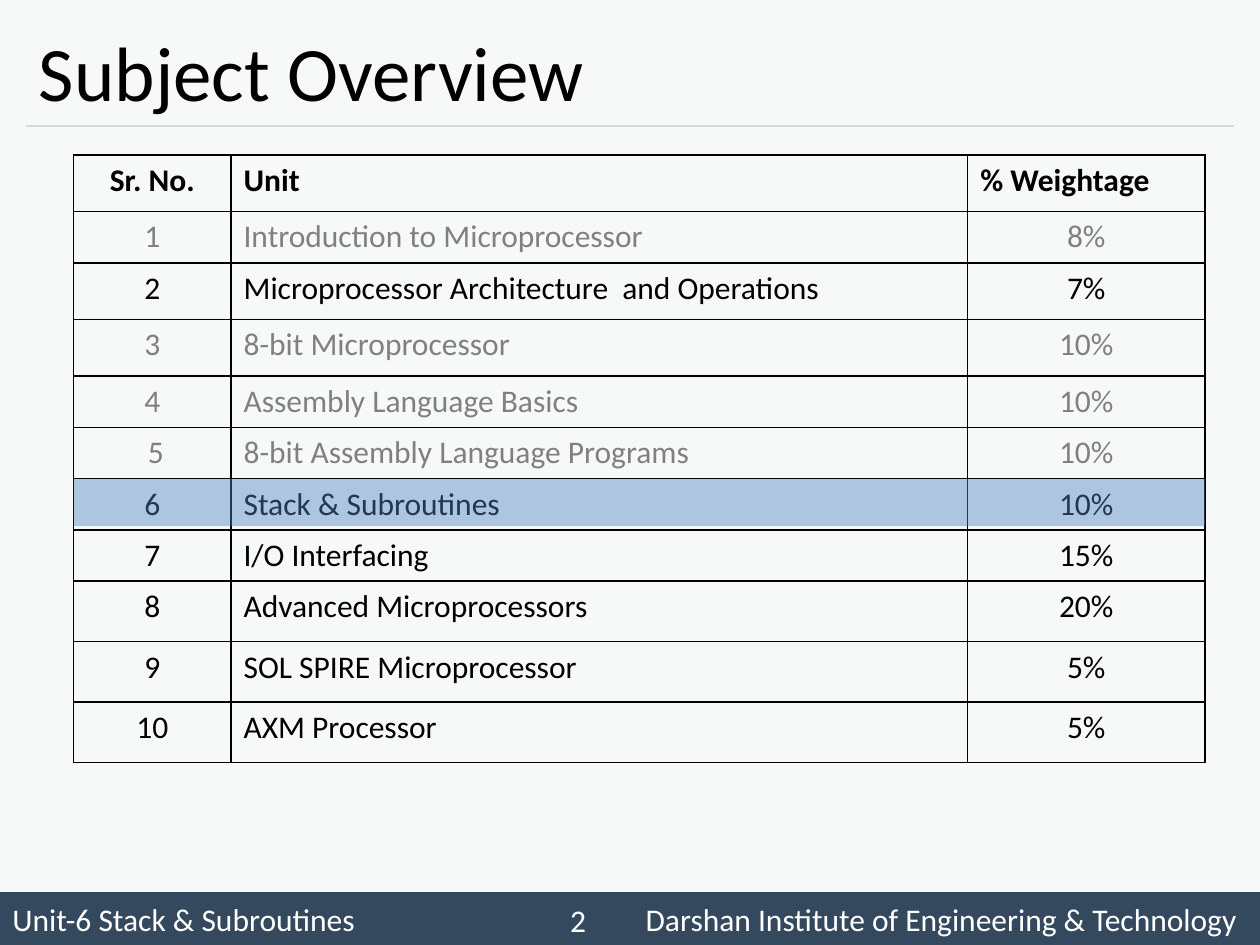
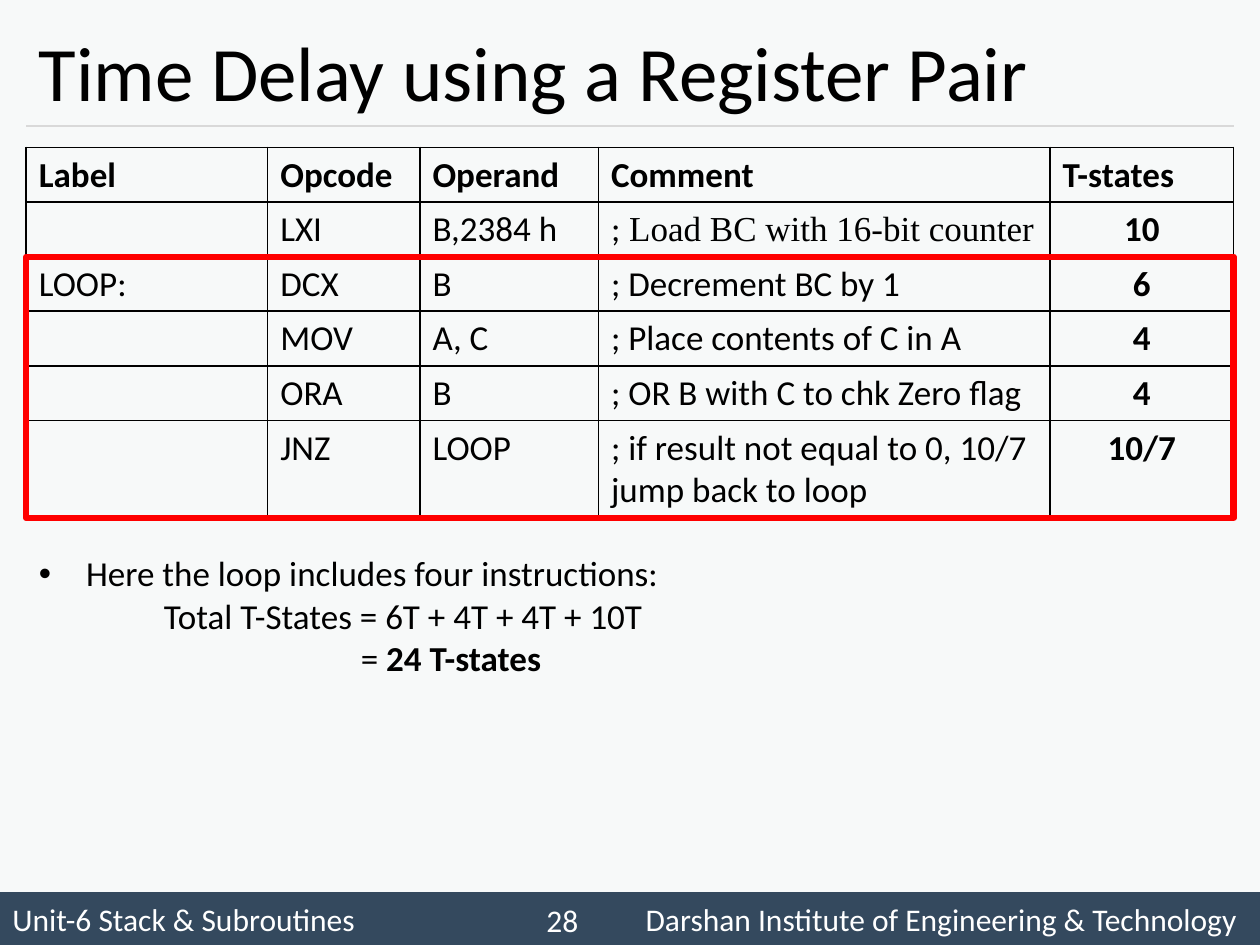
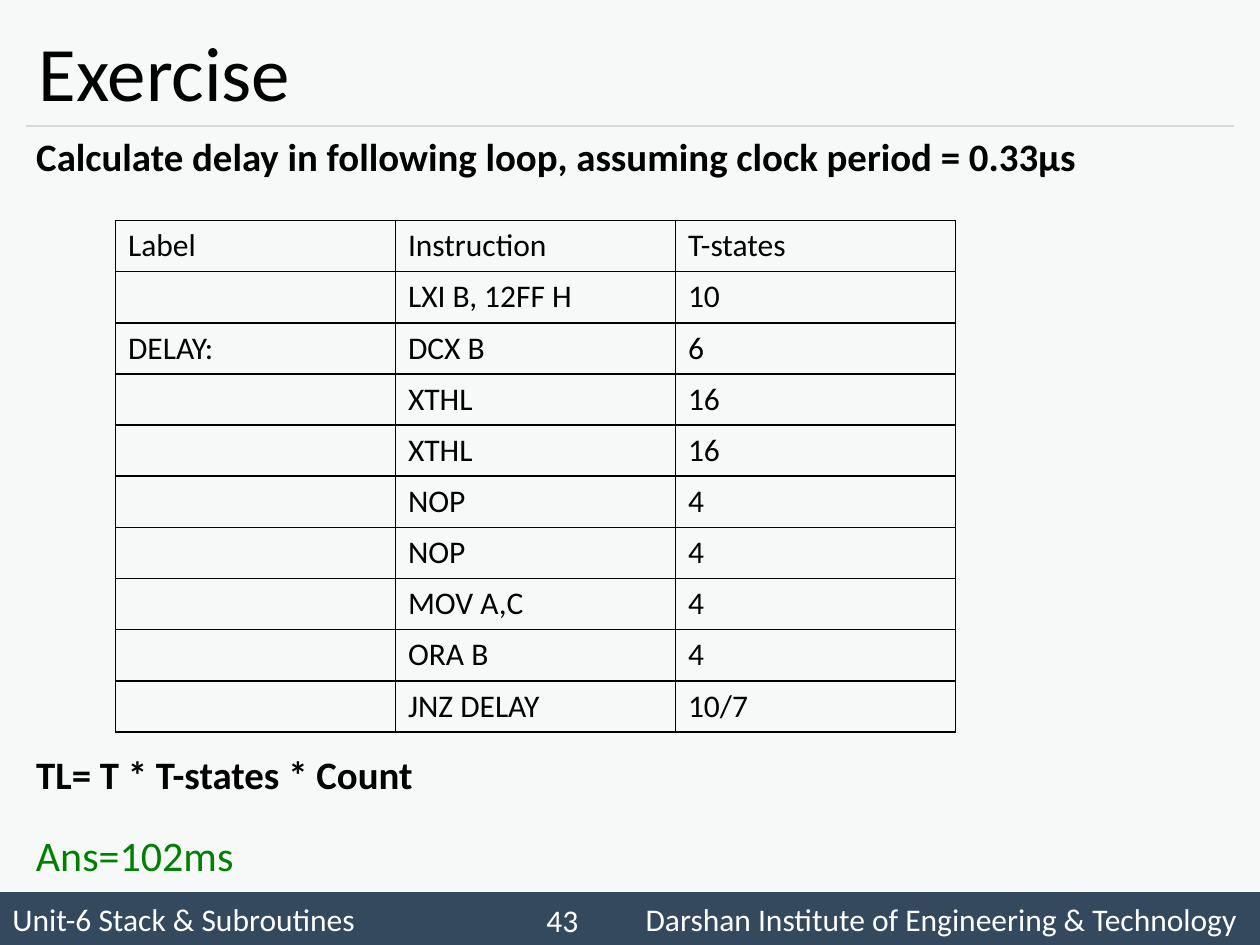
from dataclasses import dataclass
from typing import NamedTuple

from pptx import Presentation
from pptx.dml.color import RGBColor
from pptx.enum.shapes import MSO_CONNECTOR, MSO_SHAPE
from pptx.enum.text import MSO_ANCHOR, MSO_AUTO_SIZE, PP_ALIGN
from pptx.oxml.ns import qn
from pptx.util import Pt
from lxml.etree import SubElement


@dataclass(frozen=True)
class Theme:
    font: str = "Calibri"
    serif: str = "Times New Roman"
    paper: str = "F7F9F9"
    bar: str = "34495E"
    rule: str = "D9D9D9"
    ink: str = "000000"
    faded: str = "808080"
    white: str = "FFFFFF"
    accent: str = "4F81BD"
    frame: str = "FF0000"
    answer: str = "008000"
    title: float = 44
    result: float = 24
    question: float = 22.2
    code: float = 20
    small: float = 18


class Box(NamedTuple):
    x: float
    y: float
    w: float
    h: float

    def lengths(self):
        return [Pt(v) for v in self]


T = Theme()
PAGE = Box(0, 0, 720, 540)
CONTENT = Box(15, 84.2, 690, 310)
LEFT, CENTER, RIGHT = PP_ALIGN.LEFT, PP_ALIGN.CENTER, PP_ALIGN.RIGHT

UNITS = [
    ("Introduction to Microprocessor", "8%"),
    ("Microprocessor Architecture  and Operations", "7%"),
    ("8-bit Microprocessor", "10%"),
    ("Assembly Language Basics", "10%"),
    ("8-bit Assembly Language Programs", "10%"),
    ("Stack & Subroutines", "10%"),
    ("I/O Interfacing", "15%"),
    ("Advanced Microprocessors", "20%"),
    ("SOL SPIRE Microprocessor", "5%"),
    ("AXM Processor", "5%"),
]
FADED_UNITS = {1, 3, 4, 5}
CURRENT_UNIT = 6

LOOP_CODE = [
    ("Label", "Opcode", "Operand", "Comment", "T-states"),
    ("", "LXI", "B,2384 h",
     [(";", {}), (" Load BC with 16-bit counter", {"font": T.serif})], "10"),
    ("LOOP:", "DCX", "B", "; Decrement BC by 1", "6"),
    ("", "MOV", "A, C", "; Place contents of C in A", "4"),
    ("", "ORA", "B", "; OR B with C to chk Zero flag", "4"),
    ("", "JNZ", "LOOP",
     "; if result not equal to 0, 10/7\njump back to loop", "10/7"),
]

DELAY_CODE = [
    ("Label", "Instruction", "T-states"),
    ("", "LXI B, 12FF H", "10"),
    ("DELAY:", "DCX B", "6"),
    ("", "XTHL", "16"),
    ("", "XTHL", "16"),
    ("", "NOP", "4"),
    ("", "NOP", "4"),
    ("", "MOV A,C", "4"),
    ("", "ORA B", "4"),
    ("", "JNZ DELAY", "10/7"),
]


def rgb(color):
    return RGBColor.from_string(color)


def add_run(p, text, size=T.small, color=T.ink, bold=False, font=T.font):
    r = p.add_run()
    r.text = text
    r.font.size = Pt(size)
    r.font.bold = bold
    r.font.name = font
    r.font.color.rgb = rgb(color)


def write(tf, text, align=LEFT, before=0, spacing=None, indent=None, tab=None, **fmt):
    lines = text.split("\n") if isinstance(text, str) else [text]
    for line in lines:
        p = tf.add_paragraph() if tf.text else tf.paragraphs[0]
        pPr = p._p.get_or_add_pPr()
        if indent is not None:
            pPr.set("marL", str(Pt(indent)))
            pPr.set("indent", "0")
            SubElement(pPr, qn("a:buNone"))
        if tab is not None:
            tabs = SubElement(pPr, qn("a:tabLst"))
            SubElement(tabs, qn("a:tab"), pos=str(Pt(tab)), algn="r")
        p.alignment = align
        p.space_before = Pt(before)
        if spacing:
            p.line_spacing = spacing
        runs = [(line, {})] if isinstance(line, str) else line
        for part, extra in runs:
            add_run(p, part, **{**fmt, **extra})


def place(sp, box):
    sp.left, sp.top, sp.width, sp.height = box.lengths()
    sp.text_frame.auto_size = MSO_AUTO_SIZE.NONE
    return sp.text_frame


def add_rect(slide, box, fill=None, alpha=None, line=None, width=1):
    sp = slide.shapes.add_shape(MSO_SHAPE.RECTANGLE, *box.lengths())
    sp.shadow.inherit = False
    if fill:
        sp.fill.solid()
        sp.fill.fore_color.rgb = rgb(fill)
    else:
        sp.fill.background()
    if alpha:
        clr = sp.fill._xPr.find(qn("a:solidFill"))[0]
        SubElement(clr, qn("a:alpha"), val=str(alpha * 1000))
    if line:
        sp.line.color.rgb = rgb(line)
        sp.line.width = Pt(width)
    else:
        sp.line.fill.background()
    return sp


def add_rule(slide, x1, x2, y):
    line = slide.shapes.add_connector(MSO_CONNECTOR.STRAIGHT, Pt(x1), Pt(y), Pt(x2), Pt(y))
    line.line.color.rgb = rgb(T.rule)
    line.line.width = Pt(0.75)
    SubElement(line._element.spPr, qn("a:effectLst"))


def style_cell(cell):
    tcPr = cell._tc.get_or_add_tcPr()
    for side in ("lnL", "lnR", "lnT", "lnB"):
        ln = SubElement(tcPr, qn(f"a:{side}"), w=str(Pt(1)))
        fill = SubElement(ln, qn("a:solidFill"))
        SubElement(fill, qn("a:srgbClr"), val=T.ink)
    cell.fill.background()


def add_grid(slide, box, cols, heights, rows, cell_format):
    shape = slide.shapes.add_table(len(rows), len(cols), *box.lengths())
    table = shape.table
    table.first_row = table.horz_banding = False
    for column, width in zip(table.columns, cols):
        column.width = Pt(width)
    for i, (row, height) in enumerate(zip(rows, heights)):
        table.rows[i].height = Pt(height)
        for j, text in enumerate(row):
            cell = table.cell(i, j)
            style_cell(cell)
            if text:
                write(cell.text_frame, text, **cell_format(i, j))


def add_footer(slide, box, number, number_inset):
    bar = add_rect(slide, box, fill=T.bar)
    bar.text_frame.vertical_anchor = MSO_ANCHOR.MIDDLE
    write(bar.text_frame, "Unit-6 Stack & Subroutines\tDarshan Institute of Engineering & Technology",
          tab=box.w - 20.2, color=T.white)
    page = Box(box.x + 293.8, box.y + 1.4, 48.2, 28.8)
    tf = slide.shapes.add_textbox(*page.lengths()).text_frame
    tf.word_wrap = True
    tf.margin_right = Pt(number_inset)
    tf.vertical_anchor = MSO_ANCHOR.MIDDLE
    write(tf, number, align=RIGHT, color=T.white)


def add_page(prs, layout, title, number, number_inset=11.5):
    slide = prs.slides.add_slide(prs.slide_layouts.get_by_name(layout))
    tf = place(slide.shapes.title, Box(CONTENT.x, 8.6, CONTENT.w, 63.4))
    tf.vertical_anchor = MSO_ANCHOR.MIDDLE
    write(tf, title, size=T.title)
    add_rule(slide, CONTENT.x, CONTENT.x + CONTENT.w, 72)
    add_footer(slide, Box(0, PAGE.h - 30.2, PAGE.w, 30.2), number, number_inset)
    return slide


def overview(slide, box):
    rows = [("Sr. No.", "Unit", "% Weightage")]
    for n, unit in enumerate(UNITS, 1):
        rows.append((" 5" if n == 5 else str(n), *unit))
    low, mid, tall = 29.3, 32.4, 34.6
    heights = [mid, low, mid, mid, low, low, low, low, tall, tall, tall]

    def cell_format(i, j):
        centered = j == 0 or (j == 2 and i > 0)
        return {"align": CENTER if centered else LEFT, "bold": i == 0,
                "color": T.faded if i in FADED_UNITS else T.ink}

    add_grid(slide, box, (90, 421, 135.5), heights, rows, cell_format)
    top = box.y + sum(heights[:CURRENT_UNIT])
    add_rect(slide, Box(box.x, top, box.w, 27), fill=T.accent, alpha=43)


def register_pair(slide, box):
    pitch, last = 31.2, 55.6
    for i, row in enumerate(LOOP_CODE):
        height = last if i == len(LOOP_CODE) - 1 else pitch

        def cell_format(_, j, header=i == 0):
            return {"align": CENTER if j == 4 and not header else LEFT,
                    "bold": header or j == 4, "size": T.code}

        add_grid(slide, Box(box.x, box.y + i * pitch, box.w, height),
                 (138, 87, 102, 258, 105), [height], [row], cell_format)

    tf = place(slide.placeholders[1], Box(box.x, box.y + 227.6, box.w, 80))
    write(tf, "Here the loop includes four instructions:", size=T.code)
    write(tf, "Total T-States = 6T + 4T + 4T + 10T", indent=71.5, size=T.code)
    write(tf, [("= ", {}), ("24 T-states", {"bold": True})], indent=184, size=T.code)
    add_rect(slide, Box(box.x, box.y + 2 * pitch + 0.2, box.w, 3 * pitch + last),
             line=T.frame, width=3.75)


def exercise(slide, box):
    tf = place(slide.placeholders[1], box)
    body = {"align": PP_ALIGN.JUSTIFY, "spacing": 0.94, "indent": 0,
            "size": T.question, "bold": True}
    write(tf, "Calculate delay in following loop, assuming clock period = 0.33μs", **body)
    write(tf, "TL= T * T-states * Count", before=328, **body)
    add_grid(slide, Box(box.x + 52.5, box.y + 51.8, 480, 292.5), [160] * 3,
             [29.25] * len(DELAY_CODE), DELAY_CODE, lambda i, j: {})
    answer = Box(box.x, box.y + 396, 130, 36)
    tf = slide.shapes.add_textbox(*answer.lengths()).text_frame
    tf.word_wrap = False
    write(tf, "Ans=102ms", size=T.result, color=T.answer)


def main():
    prs = Presentation()
    prs.slide_width, prs.slide_height = Pt(PAGE.w), Pt(PAGE.h)
    fill = prs.slide_master.background.fill
    fill.solid()
    fill.fore_color.rgb = rgb(T.paper)

    overview(add_page(prs, "Title Only", "Subject Overview", "2", 7.2),
             Box(42, 88.5, 646.5, 346))
    register_pair(add_page(prs, "Title and Content", "Time Delay using a Register Pair", "28"),
                  CONTENT)
    exercise(add_page(prs, "Title and Content", "Exercise", "43"),
             Box(13.5, 74.2, 690, 420))
    prs.save("out.pptx")


if __name__ == "__main__":
    main()
